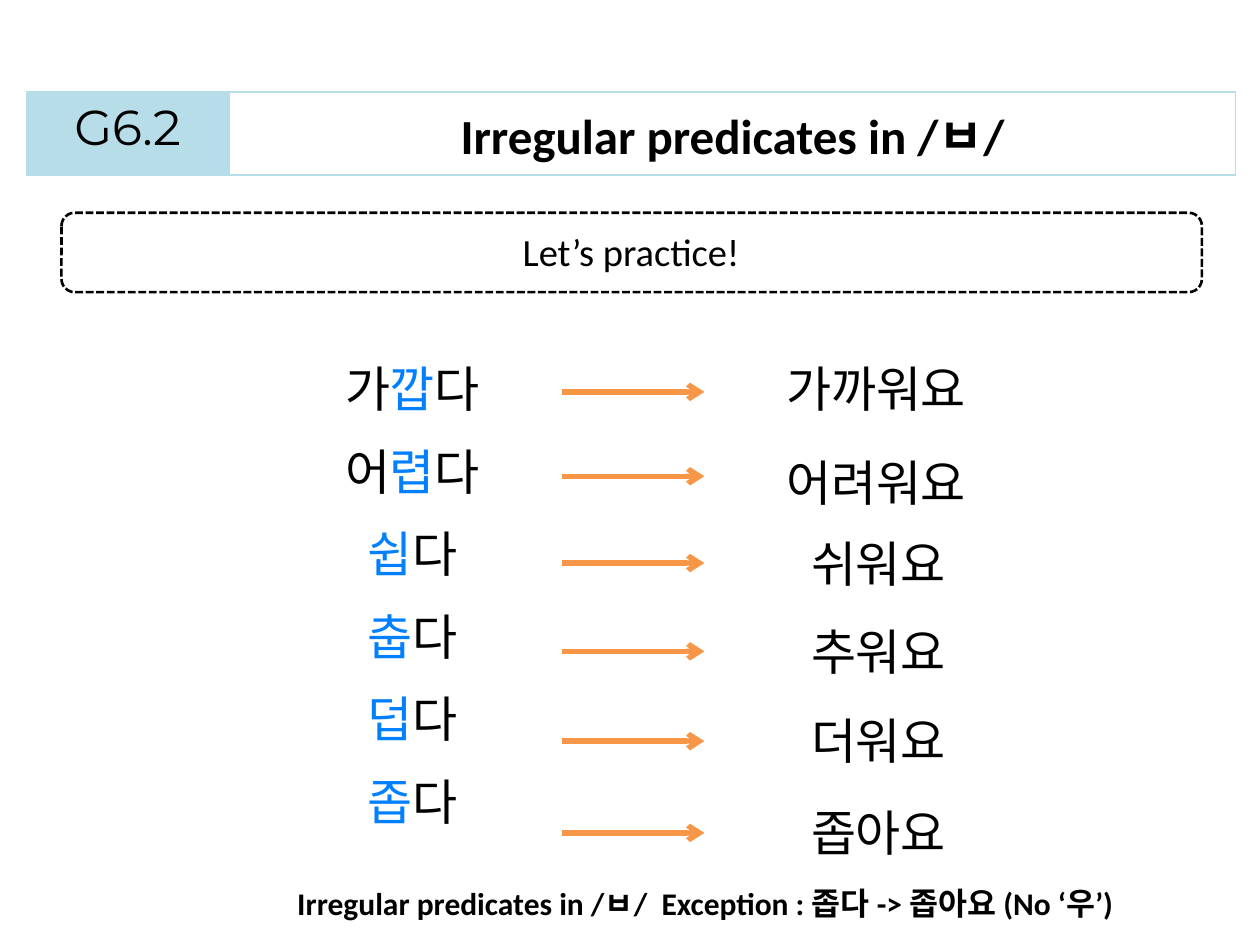
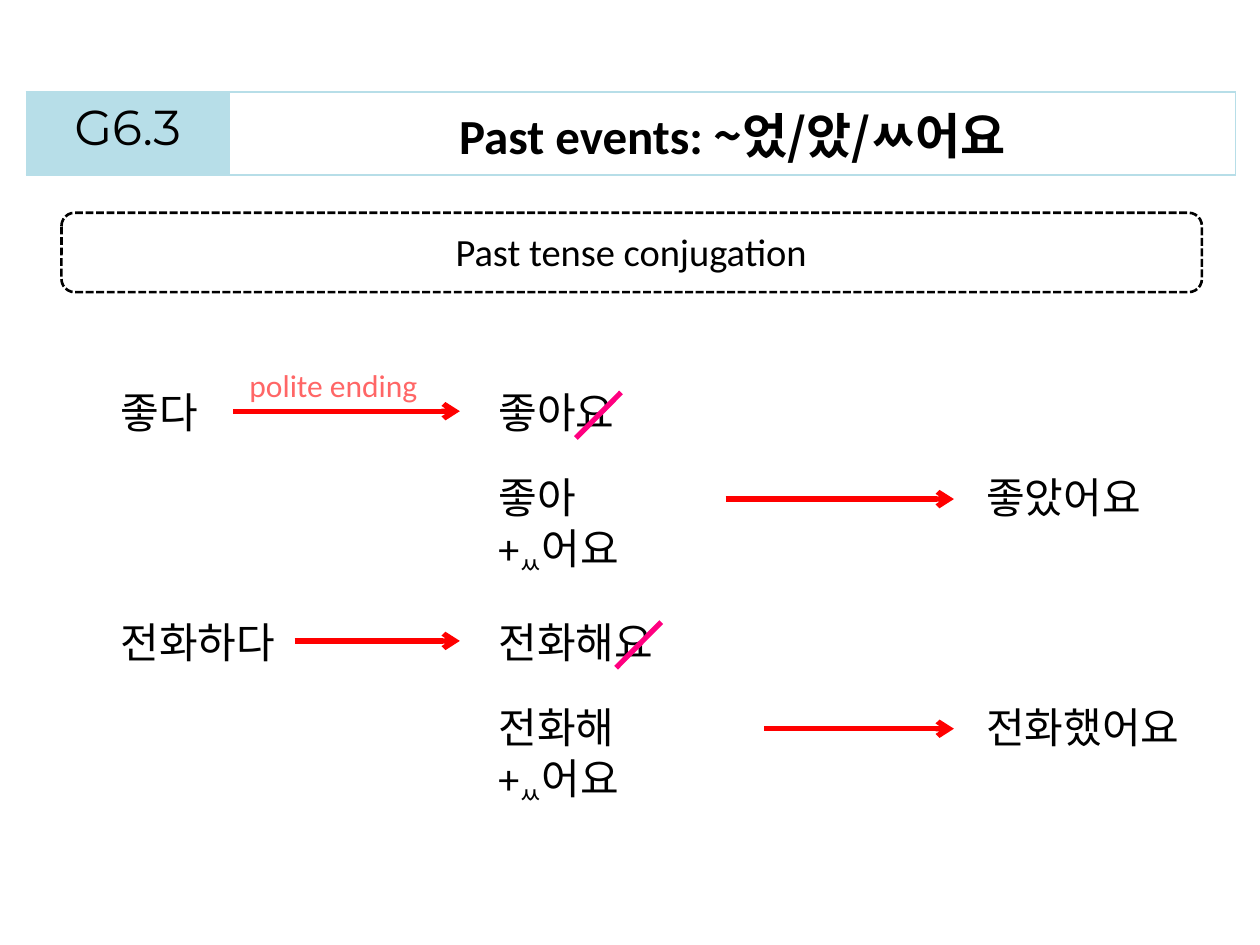
from lxml import etree
from pptx import Presentation
from pptx.dml.color import RGBColor
from pptx.enum.dml import MSO_LINE
from pptx.enum.shapes import MSO_CONNECTOR, MSO_SHAPE
from pptx.enum.text import PP_ALIGN
from pptx.oxml.ns import qn
from pptx.util import Cm, Pt

CENTER, LEFT = PP_ALIGN.CENTER, PP_ALIGN.LEFT
STRAIGHT = MSO_CONNECTOR.STRAIGHT
ROUNDED = MSO_SHAPE.ROUNDED_RECTANGLE
DASH = MSO_LINE.SQUARE_DOT

BLACK = RGBColor(0x00, 0x00, 0x00)
BAND = RGBColor(0xB7, 0xDE, 0xE8)
BLUE = RGBColor(0x00, 0x80, 0xFF)
ORANGE = RGBColor(0xF7, 0x96, 0x46)
RED = RGBColor(0xFF, 0x00, 0x00)
CORAL = RGBColor(0xFF, 0x66, 0x66)
PINK = RGBColor(0xFF, 0x00, 0x80)

LATIN, NUMBER, KOREAN = "Calibri", "Montserrat", "Noto Sans CJK KR"


# Text: each line is a string or a list of (text, format changes) pieces
def write(frame, lines, *, size=28, font=KOREAN, east_asian=LATIN, color=BLACK,
          bold=False, align=LEFT, gap=0):
    for index, line in enumerate(lines):
        paragraph = frame.paragraphs[0] if index == 0 else frame.add_paragraph()
        paragraph.alignment = align
        if index and gap:
            paragraph.space_before = Pt(gap)
        for words, changes in [(line, {})] if isinstance(line, str) else line:
            if changes.get("new_line"):
                paragraph.add_line_break()
            run = paragraph.add_run()
            run.text = words
            run.font.size = Pt(size)
            run.font.bold = bold
            run.font.name = changes.get("font", font)
            run.font.color.rgb = changes.get("color", color)
            properties = run.font._element
            etree.SubElement(properties, qn("a:ea"), typeface=east_asian)
            if "baseline" in changes:
                properties.set("baseline", str(changes["baseline"]))


def add_text(slide, lines, left, top, width, height, **style):
    frame = slide.shapes.add_textbox(Cm(left), Cm(top), Cm(width), Cm(height)).text_frame
    frame.word_wrap = True
    write(frame, lines, **style)


def add_line(slide, start, end, color, arrow=True):
    line = slide.shapes.add_connector(STRAIGHT, *map(Cm, start + end))
    line.line.color.rgb = color
    line.line.width = Pt(3)
    if arrow:
        etree.SubElement(line.line._get_or_add_ln(), qn("a:tailEnd"), type="arrow")
    etree.SubElement(line._element.spPr, qn("a:effectLst"))


def add_borders(cell):
    properties = cell._tc.get_or_add_tcPr()
    for index, side in enumerate(("lnL", "lnR", "lnT", "lnB")):
        border = etree.Element(qn(f"a:{side}"), w=str(Pt(1)))
        fill = etree.SubElement(border, qn("a:solidFill"))
        etree.SubElement(fill, qn("a:srgbClr"), val=str(BAND))
        properties.insert(index, border)


# Heading table and dashed topic box, shared by the slides
def add_lesson_slide(deck, number, title, topic):
    slide = deck.slides.add_slide(deck.slide_layouts[6])
    heading = slide.shapes.add_table(1, 2, Cm(0.53), Cm(1.85), Cm(24.38), Cm(1.4)).table
    heading.first_row = heading.horz_banding = False
    for column, width in zip(heading.columns, (4.09, 20.29)):
        column.width = Cm(width)
    number_cell, title_cell = heading.cell(0, 0), heading.cell(0, 1)
    number_cell.fill.solid()
    number_cell.fill.fore_color.rgb = BAND
    title_cell.fill.background()
    write(number_cell.text_frame, [number], font=NUMBER, align=CENTER)
    write(title_cell.text_frame, [title], font=LATIN, east_asian=KOREAN,
          bold=True, align=CENTER)
    for cell in (number_cell, title_cell):
        add_borders(cell)

    frame = slide.shapes.add_shape(ROUNDED, Cm(1.24), Cm(4.29), Cm(22.99), Cm(1.6))
    frame.shadow.inherit = False
    frame.fill.background()
    frame.line.color.rgb = BLACK
    frame.line.width = Pt(1.5)
    frame.line.dash_style = DASH
    add_text(slide, [topic], 1.5, 4.47, 22.45, 1.19, size=22, font=LATIN, align=CENTER)
    return slide


# Dictionary form, polite form without its ending, then past form
def add_conjugation(slide, top, stem, stem_width, arrow_left, polite, polite_width,
                    base, base_width, past, past_width):
    polite_left, past_left, height = 9.8, 19.63, 1.27
    base_top = top + 1.72
    add_text(slide, [stem], 2.18, top, stem_width, height, size=24)
    add_line(slide, (arrow_left, top + 0.62), (9.27, top + 0.62), RED)
    add_text(slide, [polite], polite_left, top, polite_width, height, size=24)
    strike = polite_left + polite_width - 0.2
    add_line(slide, (strike, top + 0.24), (strike - 0.91, top + 1.16), PINK, arrow=False)
    ending = [(base, {}), ("+", {"new_line": True, "font": LATIN}),
              ("ㅆ", {"baseline": -25000}), ("어요", {})]
    add_text(slide, [ending], polite_left, base_top, base_width, height, size=24)
    add_line(slide, (polite_left + base_width, top + 2.39), (19.23, top + 2.39), RED)
    add_text(slide, [past], past_left, base_top, past_width, height, size=24)


def build_practice(deck):
    slide = add_lesson_slide(deck, "G6.2", "Irregular predicates in /ㅂ/", "Let’s practice!")
    blue = {"color": BLUE}
    predicates = [[(before, {}), (changing, blue), ("다", {})] if before
                  else [(changing, blue), ("다", {})]
                  for before, changing in (("가", "깝"), ("어", "렵"), ("", "쉽"),
                                           ("", "춥"), ("", "덥"), ("", "좁"))]
    add_text(slide, predicates, 6.45, 7.11, 3.73, 10.44, align=CENTER, gap=13.5)

    # Arrow height, answer and its top
    for arrow_y, answer, top in ((7.9, "가까워요", 7.11), (9.6, "어려워요", 8.99),
                                 (11.35, "쉬워요", 10.64), (13.13, "추워요", 12.4),
                                 (14.94, "더워요", 14.2), (16.79, "좁아요", 16.05)):
        add_line(slide, (11.33, arrow_y), (14.2, arrow_y), ORANGE)
        left, width = (15.6, 4.27) if len(answer) == 4 else (16.1, 3.33)
        add_text(slide, [answer], left, top, width, 1.45)

    add_text(slide, ["Irregular predicates in /ㅂ/  Exception : 좁다 -> 좁아요 (No ‘우’)"],
             4.5, 17.7, 19.43, 1.02, size=18, font=LATIN, bold=True, align=CENTER)


def build_past_tense(deck):
    title = [("Past events: ", {}), ("~었/았/ㅆ어요", {"font": KOREAN})]
    slide = add_lesson_slide(deck, "G6.3", title, "Past tense conjugation")
    add_conjugation(slide, 7.67, "좋다", 2.16, 4.7, "좋아요", 2.92,
                    "좋아", 4.83, "좋았어요", 3.73)
    add_text(slide, ["polite ending"], 4.78, 7.26, 4.1, 1.02,
             size=18, font=LATIN, color=CORAL)
    add_conjugation(slide, 12.3, "전화하다", 3.76, 5.94, "전화해요", 3.73,
                    "전화해", 5.61, "전화했어요", 4.52)


def main():
    deck = Presentation()
    deck.slide_width, deck.slide_height = Cm(25.4), Cm(19.05)
    build_practice(deck)
    build_past_tense(deck)
    deck.save("out.pptx")


if __name__ == "__main__":
    main()
